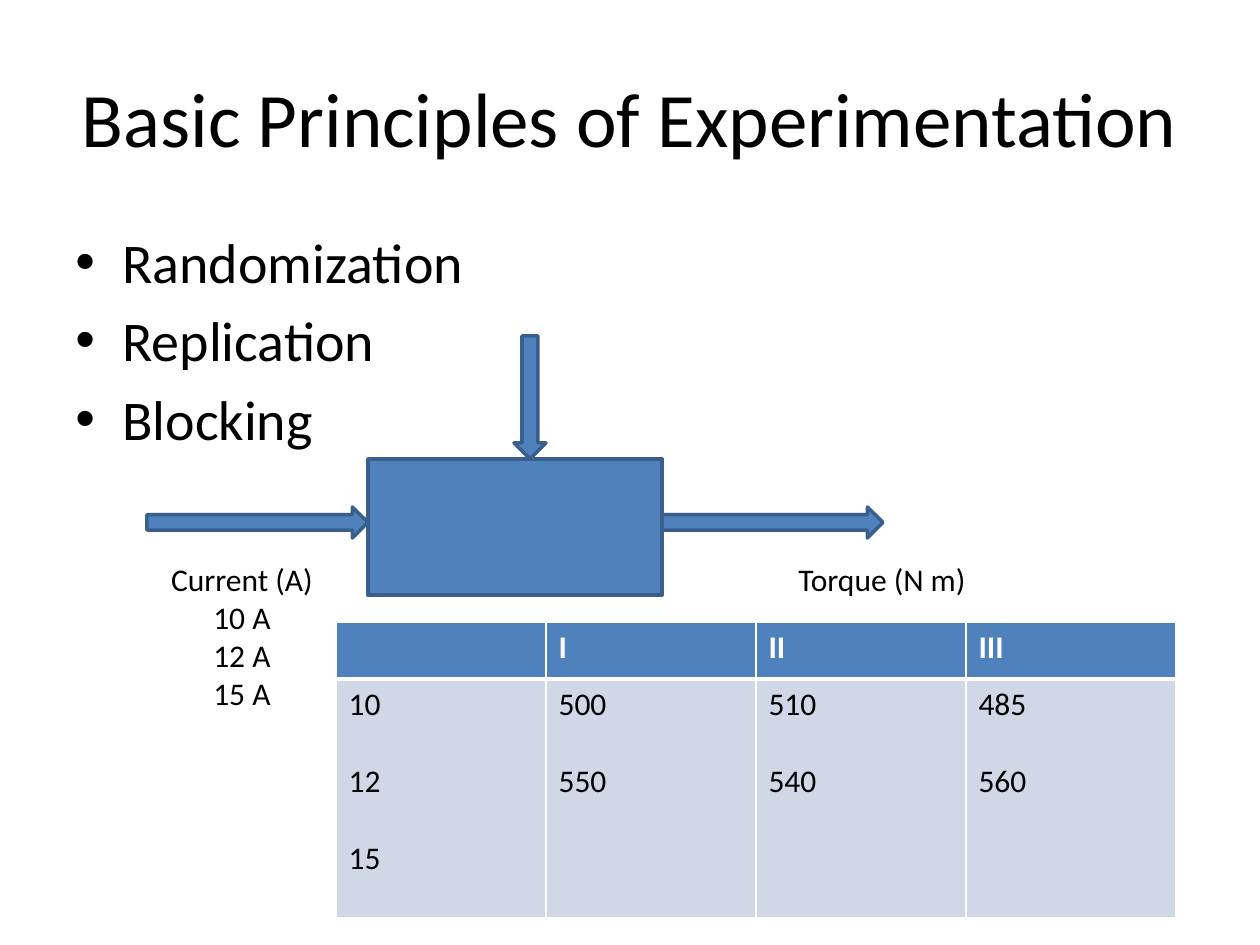
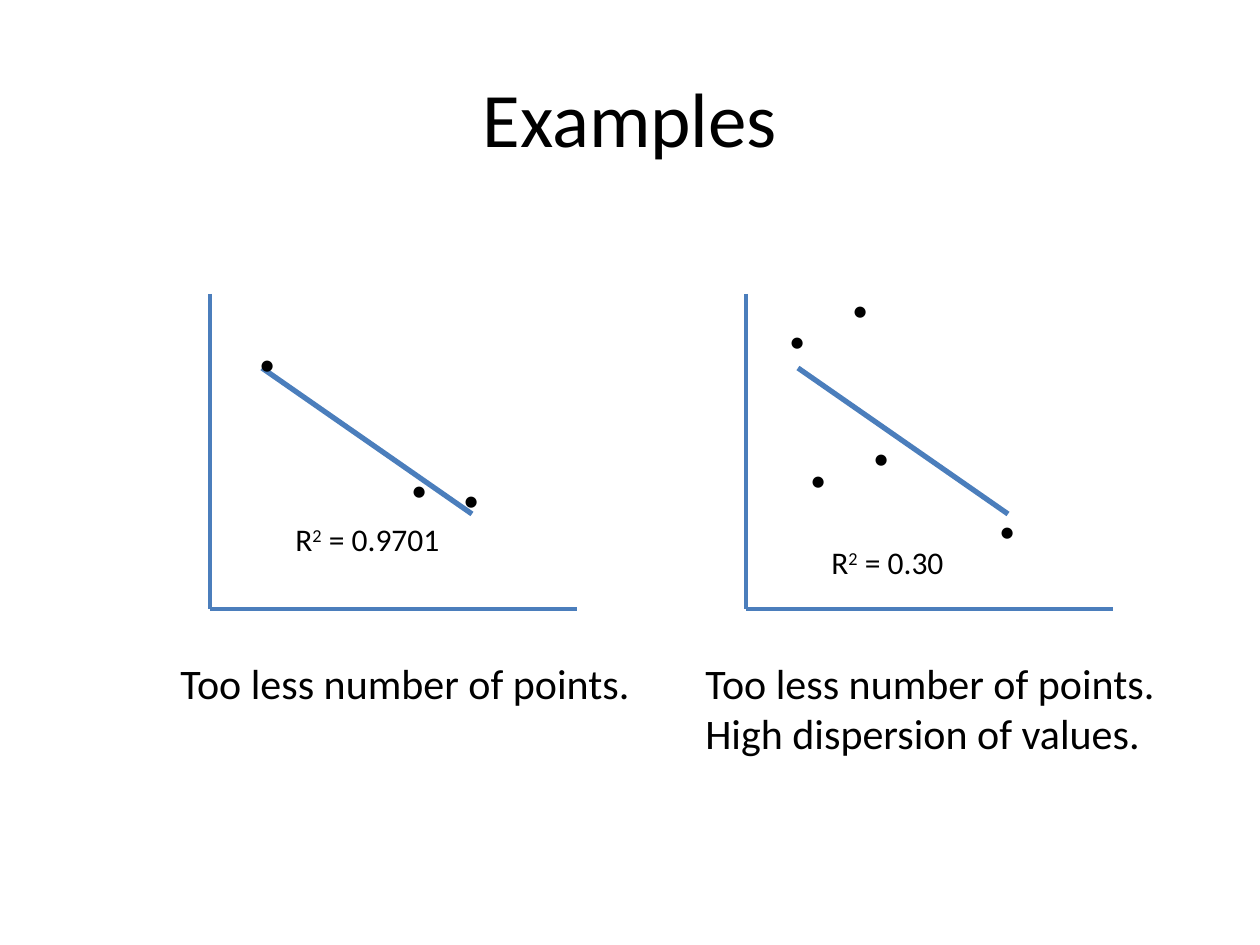
from dataclasses import dataclass

from lxml import etree
from pptx import Presentation
from pptx.dml.color import RGBColor
from pptx.enum.shapes import MSO_CONNECTOR, MSO_SHAPE
from pptx.enum.text import MSO_ANCHOR, PP_ALIGN
from pptx.oxml.ns import qn
from pptx.util import Inches, Pt

RECT, RIGHT, DOWN = MSO_SHAPE.RECTANGLE, MSO_SHAPE.RIGHT_ARROW, MSO_SHAPE.DOWN_ARROW
STRAIGHT, MIDDLE = MSO_CONNECTOR.STRAIGHT, MSO_ANCHOR.MIDDLE
LEFT, CENTER = PP_ALIGN.LEFT, PP_ALIGN.CENTER
SCALE = Inches(1) / 126


@dataclass(frozen=True)
class Theme:
    font: str = "Calibri"
    ink: str = "000000"
    white: str = "FFFFFF"
    blue: str = "4F81BD"
    edge: str = "3A5F8C"
    line: str = "4B7EBC"
    pale: str = "D0D8E8"
    title: int = 44
    body: int = 32
    note: int = 24
    small: int = 18


THEME = Theme()
TITLE_BOX = (63, 38, 1134, 157)

# Slide 1
BULLETS = ["Randomization", "Replication", "Blocking"]
BULLET_BOX = (63, 221, 1134, 624)
BULLET_INDENT = 47
SYSTEM = [
    (RECT, (368, 459, 294, 136)),
    (RIGHT, (147, 507, 221, 31)),
    (RIGHT, (662, 507, 221, 31)),
    (DOWN, (514, 336, 32, 123)),
]
LABELS = [
    (["Current (A)", "10 A", "12 A", "15 A"], (116, 554, 252, 165)),
    (["Torque (N m)"], (756, 554, 252, 50)),
]
RESULTS = [
    [[], ["I"], ["II"], ["III"]],
    [["10", "12", "15"], ["500", "550"], ["510", "540"], ["485", "560"]],
]
TABLE_BOX = (336, 622, 840, 296)
ROWS = [57, 239]
ROW_GAP = 22

# Slide 2: dots, trend and fit are measured from the top of the vertical axis
AXES = [((0, 0), (0, 315)), ((0, 315), (367, 315))]
TREND = ((52, 74), (262, 220))
GRAPHS = [
    {
        "at": (210, 294),
        "dots": [(37, 44), (189, 170), (241, 180)],
        "fit": (" = 0.9701", (73, 220)),
        "note": (["Too less number of points."], (168, 651, 504, 63)),
    },
    {
        "at": (746, 294),
        "dots": [(31, 21), (241, 211), (52, 160), (94, -10), (115, 138)],
        "fit": (" = 0.30", (73, 243)),
        "note": (["Too less number of points.", "High dispersion of values."],
                 (693, 651, 504, 115)),
    },
]


def px(*sizes):
    return [round(size * SCALE) for size in sizes]


def rgb(code):
    return RGBColor.from_string(code)


def style(para, size, color=THEME.ink, align=LEFT, bold=False):
    para.alignment = align
    font = para.font
    font.name, font.size, font.bold = THEME.font, Pt(size), bold
    font.color.rgb = rgb(color)


def fill_text(frame, lines, size, gap=0, **look):
    """Write one paragraph per line, with gap points between them."""
    for i, line in enumerate(lines):
        para = frame.add_paragraph() if i else frame.paragraphs[0]
        para.text = line
        para.space_before = Pt(gap if i else 0)
        style(para, size, **look)


def add_text(shapes, lines, box, size, **look):
    frame = shapes.add_textbox(*px(*box)).text_frame
    frame.word_wrap = True
    fill_text(frame, lines, size, **look)
    return frame


def add_slide(deck, title):
    slide = deck.slides.add_slide(deck.slide_layouts[5])
    head = slide.shapes.title
    head.left, head.top, head.width, head.height = px(*TITLE_BOX)
    head.text_frame.vertical_anchor = MIDDLE
    fill_text(head.text_frame, [title], THEME.title, align=CENTER)
    return slide.shapes


def add_bullets(shapes):
    frame = add_text(shapes, BULLETS, BULLET_BOX, THEME.body, gap=6.4)
    indent, = px(BULLET_INDENT)
    for para in frame.paragraphs:
        props = para._p.get_or_add_pPr()
        props.set("marL", str(indent))
        props.set("indent", str(-indent))
        mark = etree.Element(qn("a:buChar"), char="•")
        face = etree.Element(qn("a:buFont"), typeface="Arial")
        last = props.find(qn("a:defRPr"))
        last.addprevious(face)
        last.addprevious(mark)


def add_block(shapes, kind, box):
    block = shapes.add_shape(kind, *px(*box))
    block.shadow.inherit = False
    block.fill.solid()
    block.fill.fore_color.rgb = rgb(THEME.blue)
    block.line.color.rgb = rgb(THEME.edge)
    block.line.width = Pt(2)


def add_border(cell, side, width):
    line = etree.SubElement(cell._tc.get_or_add_tcPr(), qn("a:ln" + side),
                            w=str(Pt(width)))
    fill = etree.SubElement(line, qn("a:solidFill"))
    etree.SubElement(fill, qn("a:srgbClr"), val=THEME.white)


def add_results(shapes):
    table = shapes.add_table(len(RESULTS), len(RESULTS[0]), *px(*TABLE_BOX)).table
    for r, (row, high) in enumerate(zip(RESULTS, ROWS)):
        head = r == 0
        table.rows[r].height, = px(high)
        for c, lines in enumerate(row):
            cell = table.cell(r, c)
            for side in "LRTB":
                thick = (head and side == "B") or (not head and side == "T")
                add_border(cell, side, 3 if thick else 1)
            cell.fill.solid()
            cell.fill.fore_color.rgb = rgb(THEME.blue if head else THEME.pale)
            fill_text(cell.text_frame, lines, THEME.small, gap=ROW_GAP, bold=head,
                      color=THEME.white if head else THEME.ink)


def add_line(shapes, start, end, width):
    line = shapes.add_connector(STRAIGHT, *px(*start, *end))
    line.line.color.rgb = rgb(THEME.line)
    line.line.width = Pt(width)
    etree.SubElement(line._element.spPr, qn("a:effectLst"))


def add_fit(shapes, value, box):
    para = add_text(shapes, ["R"], box, THEME.small).paragraphs[0]
    power = para.add_run()
    power.text = "2"
    power._r.get_or_add_rPr().set("baseline", "30000")
    para.add_run().text = value


def add_graph(shapes, graph):
    left, top = graph["at"]

    def place(spot):
        return left + spot[0], top + spot[1]

    group = shapes.add_group_shape().shapes
    for start, end in AXES:
        add_line(group, place(start), place(end), 2.25)
    add_line(group, *map(place, TREND), 3)
    for dot in graph["dots"]:
        add_text(group, ["•"], (*place(dot), 73, 50), THEME.small)
    value, spot = graph["fit"]
    add_fit(group, value, (*place(spot), 199, 50))
    add_text(shapes, *graph["note"], THEME.note)


def main():
    deck = Presentation()
    deck.slide_width, deck.slide_height = Inches(10), Inches(7.5)

    shapes = add_slide(deck, "Basic Principles of Experimentation")
    add_bullets(shapes)
    for kind, box in SYSTEM:
        add_block(shapes, kind, box)
    for lines, box in LABELS:
        add_text(shapes, lines, box, THEME.small, align=CENTER)
    add_results(shapes)

    shapes = add_slide(deck, "Examples")
    for graph in GRAPHS:
        add_graph(shapes, graph)

    deck.save("out.pptx")


if __name__ == "__main__":
    main()
